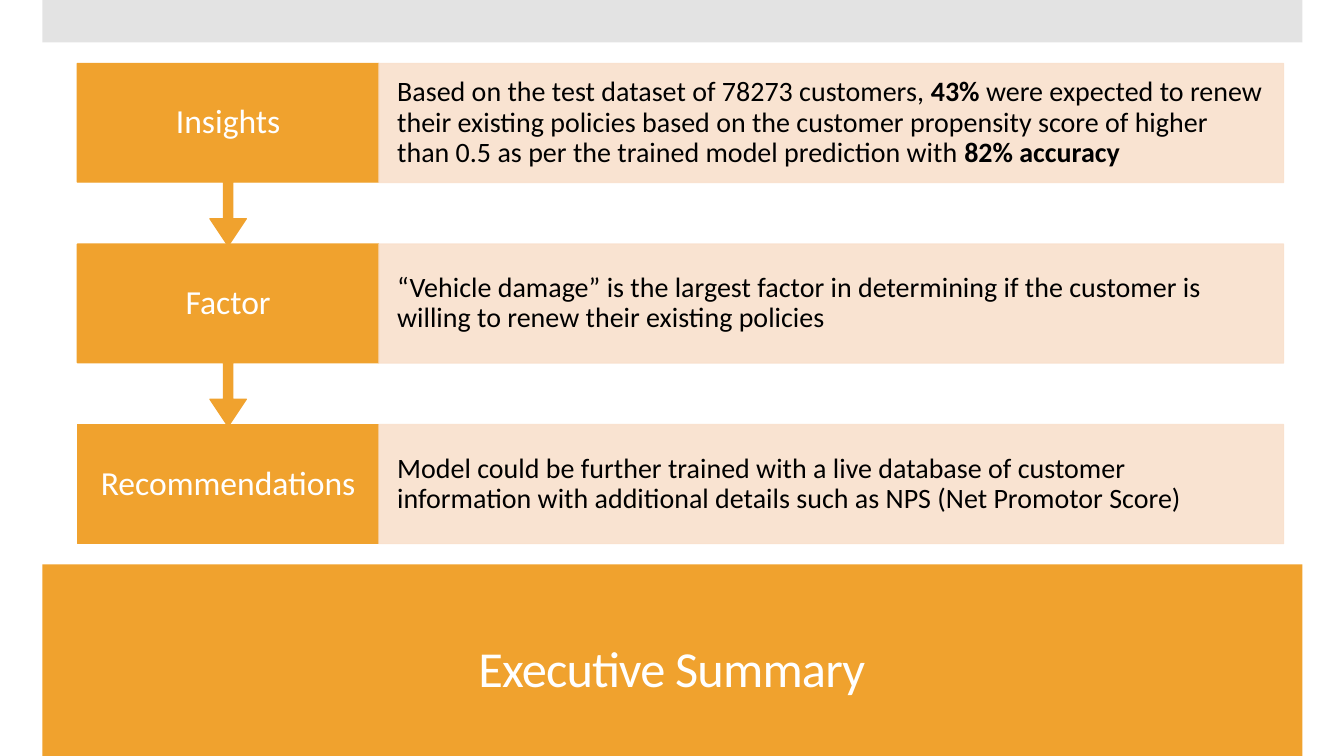
from lxml import etree
from pptx import Presentation
from pptx import util as u
from pptx.dml.color import RGBColor
from pptx.enum import shapes, text
from pptx.oxml.ns import qn

COLORS = {"orange": "F0A22E", "peach": "F9E0CD", "gray": "C8C8C8", "white": "FFFFFF", "black": "000000"}
FONT = "Calibri"


def add_block(kind, left, top, width, height, color, opacity=100, outlined=False):
    shape = slide.shapes.add_shape(kind, u.Cm(left), u.Cm(top), u.Cm(width), u.Cm(height))
    shape.shadow.inherit = False
    formats = [shape.fill]
    if outlined:
        shape.line.width = u.Pt(0.85)
        formats.append(shape.line.fill)
    else:
        shape.line.fill.background()
    for fill in formats:
        fill.solid()
        fill.fore_color.rgb = RGBColor.from_string(COLORS[color])
    if opacity < 100:
        for color_element in shape._element.spPr.iter(qn("a:srgbClr")):
            etree.SubElement(color_element, qn("a:alpha"), val=str(opacity * 1000))
    return shape


def write_text(shape, pieces, size, color, alignment, inset_x, inset_y):
    frame = shape.text_frame
    frame.word_wrap = True
    frame.vertical_anchor = text.MSO_ANCHOR.MIDDLE
    frame.margin_left = frame.margin_right = u.Cm(inset_x)
    frame.margin_top = frame.margin_bottom = u.Cm(inset_y)
    paragraph = frame.paragraphs[0]
    paragraph.alignment = alignment
    paragraph.line_spacing = 0.9
    for wording, bold in pieces:
        run = paragraph.add_run()
        run.text = wording
        run.font.name = FONT
        run.font.size = u.Pt(size)
        run.font.bold = bold
        run.font.color.rgb = RGBColor.from_string(COLORS[color])
    return paragraph


presentation = Presentation()
presentation.slide_width = u.Cm(33.87)
presentation.slide_height = u.Cm(19.05)
slide = presentation.slides.add_slide(presentation.slide_layouts[6])

RECTANGLE = shapes.MSO_SHAPE.RECTANGLE
CALLOUT = shapes.MSO_SHAPE.DOWN_ARROW_CALLOUT
CENTER, LEFT = text.PP_ALIGN.CENTER, text.PP_ALIGN.LEFT

add_block(RECTANGLE, 1.07, 14.22, 31.75, 4.83, "orange")
title = slide.shapes.add_textbox(u.Cm(1.78), u.Cm(15.49), u.Cm(30.3), u.Cm(2.84))
title_paragraph = write_text(title, [("Executive Summary", False)], 36, "white", CENTER, 0.25, 0.13)
title_paragraph.runs[0].font._element.set("spc", "-60")
add_block(RECTANGLE, 1.07, 0, 31.75, 1.07, "gray", opacity=50)

rows = [
    ("Insights", [
        ("Based on the test dataset of 78273 customers, ", False),
        ("43%", True),
        (" were expected to renew their existing policies based on the customer propensity score "
         "of higher than 0.5 as per the trained model prediction with ", False),
        ("82% accuracy", True),
    ]),
    ("Factor", [
        ("“Vehicle damage” is the largest factor in determining if the customer is "
         "willing to renew their existing policies", False),
    ]),
    ("Recommendations", [
        ("Model could be further trained with a live database of customer information "
         "with additional details such as NPS (Net Promotor Score)", False),
    ]),
]
first_top, row_pitch, row_height, callout_height = 1.6, 4.55, 3, 4.6
label_left, label_width, detail_width = 1.95, 7.6, 22.8

for index, (label_text, detail_pieces) in reversed(list(enumerate(rows))):
    top = first_top + index * row_pitch
    if index == len(rows) - 1:
        label = add_block(RECTANGLE, label_left, top, label_width, row_height, "orange", outlined=True)
    else:
        label = add_block(CALLOUT, label_left, top, label_width, callout_height, "orange", outlined=True)
        for position, value in enumerate((0.05, 0.1, 0.15, 0.65)):
            label.adjustments[position] = value
    write_text(label, [(label_text, False)], 24, "white", CENTER, 0.53, 0.48)
    detail = add_block(RECTANGLE, label_left + label_width, top, detail_width, row_height,
                       "peach", opacity=90, outlined=True)
    write_text(detail, detail_pieces, 20, "black", LEFT, 0.46, 0.71)

presentation.save("out.pptx")
